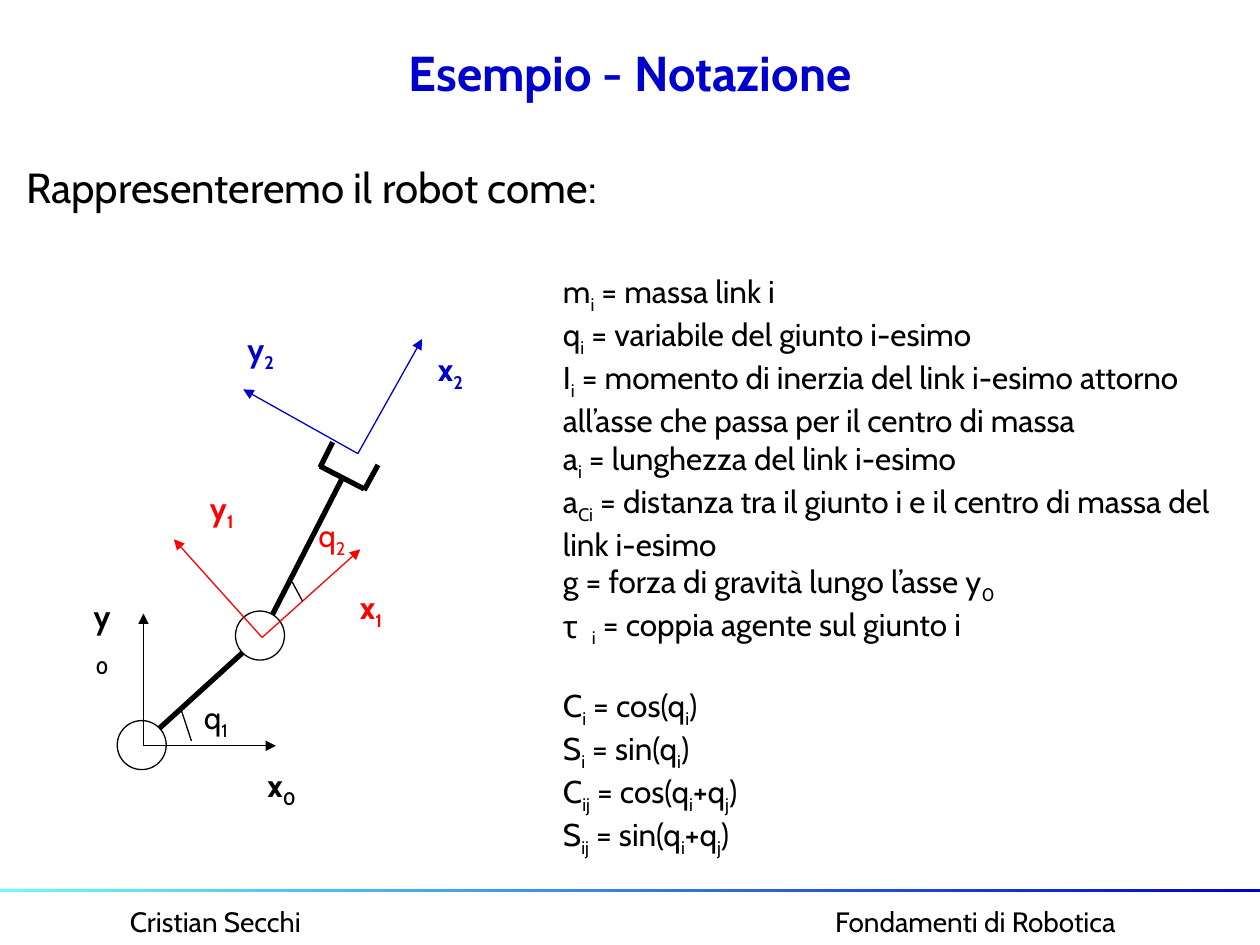
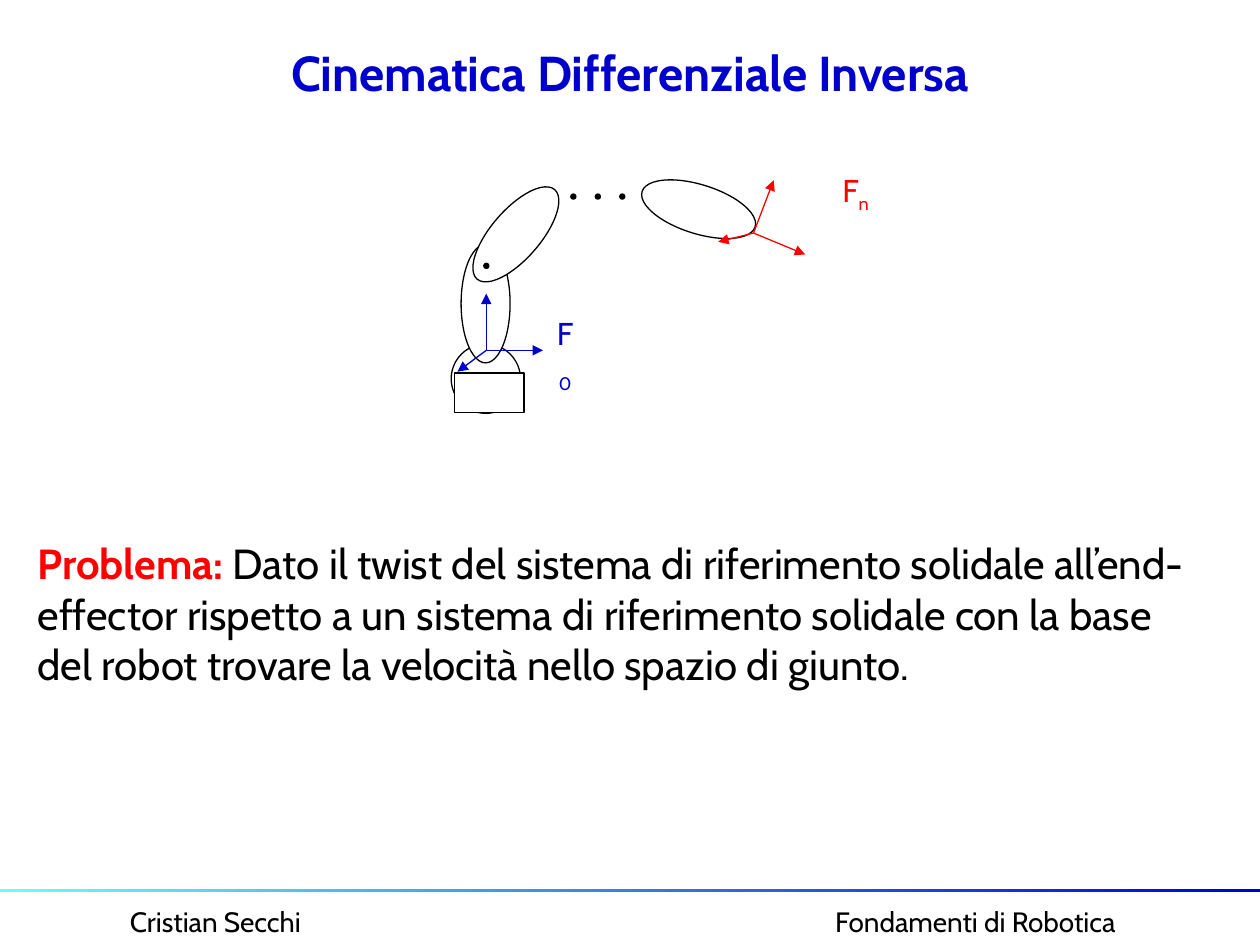
from lxml.etree import SubElement
from pptx import Presentation
from pptx.dml.color import RGBColor
from pptx.enum.shapes import MSO_CONNECTOR, MSO_SHAPE
from pptx.enum.text import MSO_ANCHOR, PP_ALIGN
from pptx.oxml.ns import qn
from pptx.util import Pt

BLACK = RGBColor(0x00, 0x00, 0x00)
WHITE = RGBColor(0xFF, 0xFF, 0xFF)
BLUE = RGBColor(0x00, 0x00, 0xCC)
RED = RGBColor(0xFF, 0x00, 0x00)
CYAN = RGBColor(0x66, 0xFF, 0xFF)
FONT = "Cabin"
THIN, THICK = 0.75, 3
LABEL_WIDTH, NARROW_LABEL_WIDTH = 40, 28

AUTHOR, COURSE = "Cristian Secchi", "Fondamenti di Robotica"

# Text between bars is subscript.
SYMBOLS = [
    "m|i| = massa link i",
    "q|i| = variabile del giunto i-esimo",
    "I|i| = momento di inerzia del link i-esimo attorno all’asse che passa per il centro di massa",
    "a|i| = lunghezza del link i-esimo",
    "a|Ci| = distanza tra il giunto i e il centro di massa del link i-esimo",
    "g = forza di gravità lungo l’asse y|0|",
]
TORQUE = ("τ", "|i| = coppia agente sul giunto i")
ABBREVIATIONS = [
    "C|i| = cos(q|i|)",
    "S|i| = sin(q|i|)",
    "C|ij| = cos(q|i|+q|j|)",
    "S|ij| = sin(q|i|+q|j|)",
]
PROBLEM = ("Problema: ", "Dato il twist del sistema di riferimento solidale all’end-effector "
           "rispetto a un sistema di riferimento solidale con la base del robot "
           "trovare la velocità nello spazio di giunto.")

# Segments: start, end
LINKS = [((79.2, 427), (150.5, 362.2)), ((151.9, 358.6), (195.8, 272.9))]
GRIPPER = [((182.9, 266.4), (208.1, 279.4)), ((208.1, 280.1), (216, 265.7)),
           ((182.9, 267.1), (190.1, 252.7))]
ANGLE_MARKS = [((109.4, 423.4), (103.7, 406.1)), ((167, 332.6), (172.8, 343.4))]
JOINTS = [(134.6, 349.2), (67, 411.8)]
JOINT_SIZE = 28

# Frames: colour, origin, axis tips
PLANAR_FRAMES = [
    (BLACK, (82, 426.2), [(82, 350.6), (157.7, 426.2)]),
    (RED, (149.8, 364.3), [(99.4, 308.2), (205.9, 313.9)]),
    (BLUE, (204.5, 259.2), [(139, 222.5), (241.2, 193.7)]),
]
ARM_FRAMES = [
    (BLUE, (277.9, 200.2), [(277.9, 167.8), (310.3, 200.2), (261.4, 212.4)]),
    (RED, (430.6, 133.2), [(442.1, 103), (460.1, 145.4), (410.4, 138.2)]),
]

# Labels: text, centre x, top, colour, bold, width
PLANAR_LABELS = [
    ("x|0|", 160.9, 434.2, BLACK, True, LABEL_WIDTH),
    ("y|0|", 58.3, 337.7, BLACK, True, NARROW_LABEL_WIDTH),
    ("x|1|", 212, 332.6, RED, True, LABEL_WIDTH),
    ("y|1|", 126.7, 275.8, RED, True, LABEL_WIDTH),
    ("x|2|", 257.4, 196.6, BLUE, True, LABEL_WIDTH),
    ("y|2|", 149, 185, BLUE, True, LABEL_WIDTH),
    ("q|1|", 123.4, 395.3, BLACK, False, LABEL_WIDTH),
    ("q|2|", 189.7, 291.6, RED, False, LABEL_WIDTH),
]
ARM_LABELS = [
    ("F|0|", 322.9, 175.7, BLUE, False, NARROW_LABEL_WIDTH),
    ("F|n|", 488.9, 94.3, RED, False, LABEL_WIDTH),
]

# Arm parts: shape, left, top, width, height, rotation
ARM = [
    (MSO_SHAPE.OVAL, 257.8, 196.6, 39.6, 39.6, 0),
    (MSO_SHAPE.RECTANGLE, 259.8, 213.1, 39.6, 22.5, 0),
    (MSO_SHAPE.OVAL, 263.5, 139.7, 28, 67.7, 0),
    (MSO_SHAPE.OVAL, 280.8, 100.1, 28, 67.7, 40.9),
    (MSO_SHAPE.OVAL, 385.2, 85.7, 28, 67.7, 107.4),
]
DOT_SIZE = 2.9
DOTS = [(326.2 + 14 * step, 110.9) for step in range(3)] + [(276.5, 150.5)]


def add_frame(slide, left, top, width, height, anchor=MSO_ANCHOR.TOP):
    """Add an empty wrapping text box and return its text frame."""
    frame = slide.shapes.add_textbox(Pt(left), Pt(top), Pt(width), Pt(height)).text_frame
    frame.word_wrap = True
    frame.vertical_anchor = anchor
    return frame


def style(font, size, color=BLACK, bold=False):
    font.name, font.size, font.bold = FONT, Pt(size), bold
    font.color.rgb = color


def write(paragraph, text, size, color=BLACK, bold=False, align=PP_ALIGN.LEFT):
    """Fill a paragraph, lowering the parts that stand between bars."""
    paragraph.alignment = align
    style(paragraph.font, size, color, bold)
    for index, part in enumerate(text.split("|")):
        if part:
            run = paragraph.add_run()
            run.text = part
            if index % 2:
                run._r.get_or_add_rPr().set("baseline", "-25000")


def add_line(slide, start, end, color=BLACK, width=THIN, arrow=False):
    line = slide.shapes.add_connector(MSO_CONNECTOR.STRAIGHT, *map(Pt, start + end))
    line.line.color.rgb = color
    line.line.width = Pt(width)
    if arrow:
        SubElement(line.line._get_or_add_ln(), qn("a:tailEnd"), type="triangle")
    SubElement(line._element.spPr, qn("a:effectLst"))


def add_part(slide, kind, left, top, width, height, rotation=0, fill=WHITE):
    part = slide.shapes.add_shape(kind, Pt(left), Pt(top), Pt(width), Pt(height))
    part.rotation = rotation
    part.shadow.inherit = False
    part.fill.solid()
    part.fill.fore_color.rgb = fill
    part.line.color.rgb = BLACK
    part.line.width = Pt(THIN)


def add_axes(slide, frames):
    for color, origin, tips in frames:
        for tip in tips:
            add_line(slide, origin, tip, color, arrow=True)


def add_labels(slide, labels):
    for text, center, top, color, bold, width in labels:
        frame = add_frame(slide, center - width / 2, top, width, 31.7)
        write(frame.paragraphs[0], text, 18, color, bold, PP_ALIGN.CENTER)


def add_footer(slide):
    frame = add_frame(slide, 0, 513.4, 712, 26.6)
    frame.margin_left = Pt(74.3)
    paragraph = frame.paragraphs[0]
    tabs = SubElement(paragraph._p.get_or_add_pPr(), qn("a:tabLst"))
    SubElement(tabs, qn("a:tab"), pos=str(Pt(403)), algn="l")
    write(paragraph, f"{AUTHOR}\t{COURSE}", 16)

    band = slide.shapes.add_shape(MSO_SHAPE.RECTANGLE, 0, Pt(508), Pt(720), Pt(1.7))
    band.shadow.inherit = False
    band.line.fill.background()
    band.fill.gradient()
    band.fill.gradient_angle = 0
    for stop, color in zip(band.fill.gradient_stops, (CYAN, BLUE)):
        stop.color.rgb = color


def new_slide(deck, title):
    slide = deck.slides.add_slide(deck.slide_layouts[6])
    add_footer(slide)
    heading = add_frame(slide, 36, 21.6, 648, 39, MSO_ANCHOR.MIDDLE)
    write(heading.paragraphs[0], title, 28, BLUE, True, PP_ALIGN.CENTER)
    return slide


def add_bullet(paragraph, symbol, indent):
    properties = paragraph._p.get_or_add_pPr()
    properties.set("marL", str(Pt(indent)))
    properties.set("indent", str(-Pt(indent)))
    SubElement(properties, qn("a:buFont"), typeface=FONT)
    SubElement(properties, qn("a:buChar"), char=symbol)


def add_legend(slide):
    frame = add_frame(slide, 314.6, 151.9, 391, 385)
    symbol, torque = TORQUE
    for index, text in enumerate(SYMBOLS + [torque] + ABBREVIATIONS):
        paragraph = frame.paragraphs[0] if index == 0 else frame.add_paragraph()
        if text == torque:
            add_bullet(paragraph, symbol, 16.6)
        if text == ABBREVIATIONS[0]:
            paragraph.space_before = Pt(21.5)
        write(paragraph, text, 18)


def build_notation(deck):
    slide = new_slide(deck, "Esempio - Notazione")
    intro = add_frame(slide, 7.9, 88.6, 380, 36)
    write(intro.paragraphs[0], "Rappresenteremo il robot come:", 24)
    for start, end in LINKS + GRIPPER:
        add_line(slide, start, end, width=THICK)
    for left, top in JOINTS:
        add_part(slide, MSO_SHAPE.OVAL, left, top, JOINT_SIZE, JOINT_SIZE)
    add_axes(slide, PLANAR_FRAMES)
    for start, end in ANGLE_MARKS:
        add_line(slide, start, end)
    add_labels(slide, PLANAR_LABELS)
    add_legend(slide)


def build_inverse_kinematics(deck):
    slide = new_slide(deck, "Cinematica Differenziale Inversa")
    for part in ARM:
        add_part(slide, *part)
    for left, top in DOTS:
        add_part(slide, MSO_SHAPE.OVAL, left, top, DOT_SIZE, DOT_SIZE, fill=BLACK)
    add_axes(slide, ARM_FRAMES)
    add_labels(slide, ARM_LABELS)
    paragraph = add_frame(slide, 14.4, 303.8, 686, 122.4).paragraphs[0]
    for text, color, bold in zip(PROBLEM, (RED, BLACK), (True, False)):
        run = paragraph.add_run()
        run.text = text
        style(run.font, 24, color, bold)


def main():
    deck = Presentation()
    deck.slide_width, deck.slide_height = Pt(720), Pt(540)
    build_notation(deck)
    build_inverse_kinematics(deck)
    deck.save("out.pptx")


if __name__ == "__main__":
    main()
